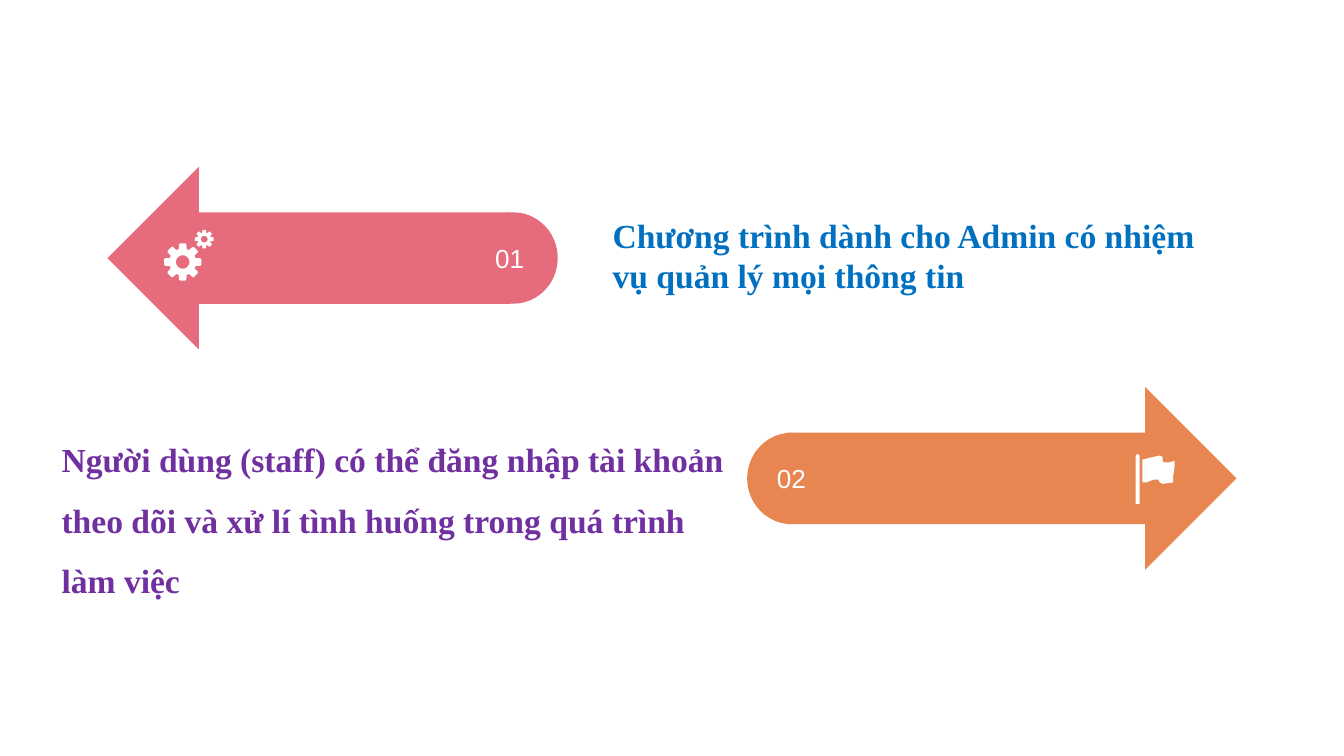
from dataclasses import dataclass
from math import cos, pi, radians, sin

from pptx import Presentation
from pptx.dml.color import RGBColor
from pptx.enum.shapes import MSO_SHAPE
from pptx.enum.text import MSO_ANCHOR, MSO_AUTO_SIZE, PP_ALIGN
from pptx.shapes.autoshape import Shape
from pptx.slide import Slide
from pptx.util import Emu, Pt

PX = 9144  # EMU per px, 100 px to the inch
SLIDE_WIDTH = 1000 * PX
SLIDE_HEIGHT = SLIDE_WIDTH * 9 // 16


@dataclass(frozen=True)
class Theme:
    rose: str = "E66C7D"
    orange: str = "E88651"
    white: str = "FFFFFF"
    blue: str = "0070C0"
    purple: str = "7030A0"
    number_font: str = "Arial"
    text_font: str = "Times New Roman"
    number_size: int = 14
    text_size: int = 18


@dataclass(frozen=True)
class Box:
    left: int
    top: int
    width: int
    height: int

    def emu(self) -> tuple[Emu, ...]:
        return tuple(Emu(v * PX) for v in (self.left, self.top, self.width, self.height))


@dataclass(frozen=True)
class Step:
    number: str
    color: str
    arrow: Box
    rotation: int
    cap: Box
    number_align: PP_ALIGN
    description: str
    description_box: Box
    description_color: str
    line_spacing: float


@dataclass(frozen=True)
class Gear:
    x: int
    y: int
    radius: int


Point = tuple[float, float]

THEME = Theme()
STEPS = (
    Step("01", THEME.rose, Box(80, 124, 300, 136), 180, Box(349, 158, 66, 68),
         PP_ALIGN.LEFT,
         "Chương trình dành cho Admin có nhiệm vụ quản lý mọi thông tin",
         Box(446, 155, 480, 71), THEME.blue, 1.0),
    Step("02", THEME.orange, Box(586, 288, 334, 136), 0, Box(556, 322, 66, 68),
         PP_ALIGN.CENTER,
         "Người dùng (staff) có thể đăng nhập tài khoản theo dõi và xử lí "
         "tình huống trong quá trình làm việc",
         Box(36, 307, 514, 146), THEME.purple, 1.5),
)
GEARS = (Gear(152, 178, 7), Gear(136, 195, 14))
FLAG_POLE = Box(845, 338, 3, 37)
FLAG_CLOTH = (
    (874, 343), (870, 344), (866, 344), (865, 343), (865, 340), (863, 339),
    (858, 340), (850, 342), (850, 359), (853, 359), (858, 357), (862, 357),
    (863, 359), (865, 360), (873, 359), (873, 354), (874, 347),
)


def paint(shape: Shape, color: str) -> None:
    shape.shadow.inherit = False
    shape.fill.solid()
    shape.fill.fore_color.rgb = RGBColor.from_string(color)
    shape.line.fill.background()


def add_preset(slide: Slide, preset: MSO_SHAPE, box: Box, color: str) -> Shape:
    shape = slide.shapes.add_shape(preset, *box.emu())
    paint(shape, color)
    return shape


def add_outline(slide: Slide, contours: list[list[Point]], color: str) -> None:
    """Fill closed contours given in px; an inner contour is a hole."""
    scaled = [[(x * PX, y * PX) for x, y in contour] for contour in contours]
    builder = slide.shapes.build_freeform(*scaled[0][0], scale=1.0)
    builder.add_line_segments(scaled[0][1:], close=True)
    for contour in scaled[1:]:
        builder.move_to(*contour[0])
        builder.add_line_segments(contour[1:], close=True)
    paint(builder.convert_to_shape(), color)


def add_gear(slide: Slide, gear: Gear) -> None:
    def polar(ratio: float, angle: float) -> Point:
        reach = gear.radius * ratio
        return gear.x + reach * cos(angle), gear.y + reach * sin(angle)

    tooth = ((0.72, -17), (0.96, -12), (1, -8), (1, 8), (0.96, 12), (0.72, 17))
    rim = [polar(ratio, radians(45 * i + turn)) for i in range(8) for ratio, turn in tooth]
    hole = [polar(0.36, -2 * pi * i / 24) for i in range(24)]
    add_outline(slide, [rim, hole], THEME.white)


def write(shape: Shape, text: str, font: str, size: int, color: str, bold: bool = False,
          align: PP_ALIGN = PP_ALIGN.LEFT, spacing: float = 1.0) -> None:
    paragraph = shape.text_frame.paragraphs[0]
    paragraph.text = text
    paragraph.alignment = align
    paragraph.line_spacing = spacing
    paragraph.font.name = font
    paragraph.font.size = Pt(size)
    paragraph.font.bold = bold
    paragraph.font.color.rgb = RGBColor.from_string(color)


def add_arrow(slide: Slide, step: Step) -> None:
    arrow = add_preset(slide, MSO_SHAPE.RIGHT_ARROW, step.arrow, step.color)
    arrow.rotation = step.rotation
    cap = add_preset(slide, MSO_SHAPE.OVAL, step.cap, step.color)
    cap.text_frame.word_wrap = False
    cap.text_frame.vertical_anchor = MSO_ANCHOR.MIDDLE
    write(cap, step.number, THEME.number_font, THEME.number_size, THEME.white,
          align=step.number_align)


def add_description(slide: Slide, step: Step) -> None:
    description = slide.shapes.add_textbox(*step.description_box.emu())
    description.text_frame.word_wrap = True
    description.text_frame.auto_size = MSO_AUTO_SIZE.SHAPE_TO_FIT_TEXT
    write(description, step.description, THEME.text_font, THEME.text_size,
          step.description_color, bold=True, spacing=step.line_spacing)


def add_flag(slide: Slide) -> None:
    add_outline(slide, [list(FLAG_CLOTH)], THEME.white)
    pole = add_preset(slide, MSO_SHAPE.ROUND_2_SAME_RECTANGLE, FLAG_POLE, THEME.white)
    pole.adjustments[0] = 0.5


def main() -> None:
    deck = Presentation()
    deck.slide_width, deck.slide_height = Emu(SLIDE_WIDTH), Emu(SLIDE_HEIGHT)
    slide = deck.slides.add_slide(deck.slide_layouts[6])
    for step in STEPS:
        add_arrow(slide, step)
    for gear in GEARS:
        add_gear(slide, gear)
    add_flag(slide)
    for step in STEPS:
        add_description(slide, step)
    deck.save("out.pptx")


if __name__ == "__main__":
    main()
